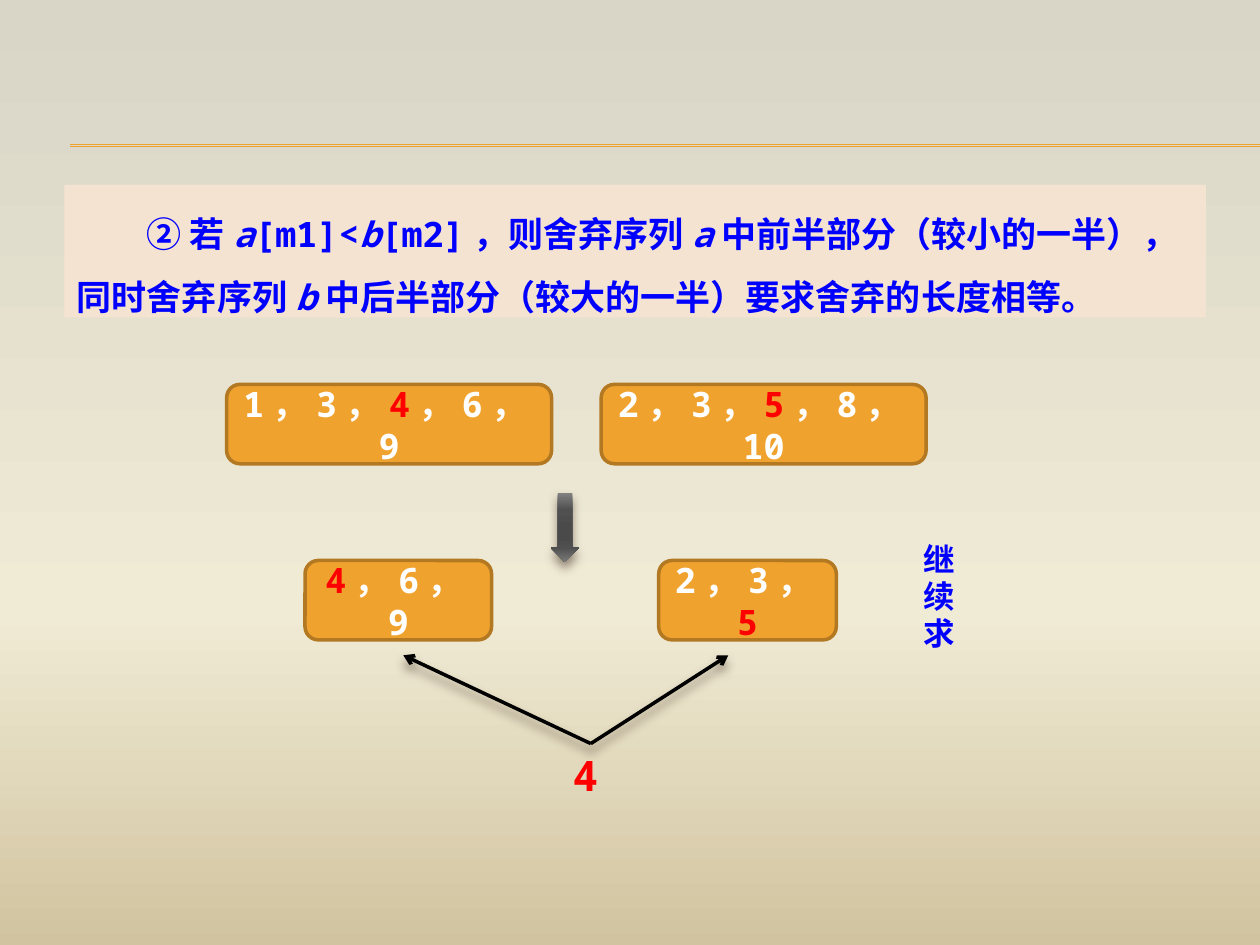
from typing import NamedTuple

from lxml import etree
from pptx import Presentation
from pptx.dml.color import RGBColor
from pptx.enum.shapes import MSO_CONNECTOR, MSO_SHAPE
from pptx.enum.text import MSO_ANCHOR, PP_ALIGN
from pptx.oxml.ns import qn
from pptx.util import Cm, Pt

RECTANGLE, ROUNDED = MSO_SHAPE.RECTANGLE, MSO_SHAPE.ROUNDED_RECTANGLE
DOWN_ARROW, STRAIGHT = MSO_SHAPE.DOWN_ARROW, MSO_CONNECTOR.STRAIGHT
TOP, LEFT, CENTER = MSO_ANCHOR.TOP, PP_ALIGN.LEFT, PP_ALIGN.CENTER

MONO, CHINESE = "Noto Sans Mono", "Noto Sans CJK SC"
COLORS = {
    "blue": "0000FF", "red": "FF0000", "white": "FFFFFF", "black": "000000",
    "orange": "F0A22E", "brown": "B27822", "peach": "F5E3D1", "shadow": "4E3B30",
}
BACKGROUND_STOPS = [(0, "D9D5C7"), (65, "F0EBD5"), (100, "D1C39F")]
ARROW_STOPS = [(0, "828282"), (25, "505050"), (50, "4A4A4A"),
               (65, "4A4A4A"), (80, "505050"), (100, "7A7A7A")]


class Span(NamedTuple):
    text: str
    color: str = "white"
    italic: bool = False


class Sequence(NamedTuple):
    """A numbered sequence in a rounded box; lengths in centimetres."""
    left: float
    top: float
    width: float
    spans: list[Span]


SEQUENCES = [
    Sequence(4.57, 7.75, 6.55, [Span("1，3，"), Span("4", "red"), Span("，6，9")]),
    Sequence(12.12, 7.75, 6.55, [Span("2，3，"), Span("5", "red"), Span("，8，10")]),
    Sequence(6.15, 11.3, 3.76, [Span("4", "red"), Span("，6，9")]),
    Sequence(13.28, 11.3, 3.58, [Span("2，3，"), Span("5", "red")]),
]
# Every second piece is a variable name, set in italics.
RULE_PIECES = [
    "② 若", "a", "[m1]<", "b", "[m2]，则舍弃序列", "a",
    "中前半部分（较小的一半），同时舍弃序列", "b",
    "中后半部分（较大的一半）要求舍弃的长度相等。",
]


def rgb(name: str) -> RGBColor:
    return RGBColor.from_string(COLORS[name])


def set_gradient(fill, owner, stops: list[tuple[int, str]]) -> None:
    """Fill from top to bottom; owner is the XML element holding the fill."""
    fill.gradient()
    fill.gradient_angle = 270
    stop_list = next(owner.iter(qn("a:gsLst")))
    for old_stop in list(stop_list):
        stop_list.remove(old_stop)
    for position, color in stops:
        stop = etree.SubElement(stop_list, qn("a:gs"), pos=str(position * 1000))
        etree.SubElement(stop, qn("a:srgbClr"), val=color)


def add_shadow(effects) -> None:
    shadow = etree.SubElement(effects, qn("a:outerShdw"), blurRad=str(Pt(6)),
                              dist=str(Pt(4)), dir="5400000", rotWithShape="0")
    color = etree.SubElement(shadow, qn("a:srgbClr"), val=COLORS["shadow"])
    etree.SubElement(color, qn("a:alpha"), val="60000")


def add_spans(para, spans: list[Span], size: int = 20, font: str = MONO) -> None:
    for span in spans:
        run = para.add_run()
        run.text = span.text
        run.font.size, run.font.name = Pt(size), font
        run.font.bold, run.font.italic = True, span.italic
        run.font.color.rgb = rgb(span.color)
        etree.SubElement(run.font._element, qn("a:ea"), typeface=CHINESE)


def add_box(slide, kind, left: float, top: float, width: float, height: float):
    box = slide.shapes.add_shape(kind, Cm(left), Cm(top), Cm(width), Cm(height))
    box.shadow.inherit = False
    box.line.fill.background()
    return box


def add_sequence(slide, sequence: Sequence) -> None:
    box = add_box(slide, ROUNDED, sequence.left, sequence.top, sequence.width, 1.6)
    box.fill.solid()
    box.fill.fore_color.rgb = rgb("orange")
    box.line.color.rgb = rgb("brown")
    box.line.width = Pt(2)
    para = box.text_frame.paragraphs[0]
    para.alignment = CENTER
    add_spans(para, sequence.spans)


def add_line(slide, start: tuple[float, float], end: tuple[float, float],
             color: str, width: float, arrow: bool = False) -> None:
    line = slide.shapes.add_connector(STRAIGHT, *map(Cm, start + end))
    line.line.color.rgb = rgb(color)
    line.line.width = Pt(width)
    properties = line._element.spPr
    effects = etree.SubElement(properties, qn("a:effectLst"))
    if arrow:
        etree.SubElement(properties.find(qn("a:ln")), qn("a:tailEnd"), type="arrow")
        add_shadow(effects)


def add_rule(slide) -> None:
    """Add the tinted panel that states the discarding rule."""
    panel = add_box(slide, RECTANGLE, 1.3, 3.73, 23.01, 2.67)
    panel.fill.solid()
    panel.fill.fore_color.rgb = rgb("peach")
    panel.text_frame.vertical_anchor = TOP
    para = panel.text_frame.paragraphs[0]
    para.alignment, para.line_spacing = LEFT, 1.5
    para._p.get_or_add_pPr().set("indent", str(Pt(40)))
    add_spans(para, [Span(piece, "blue", index % 2 == 1)
                     for index, piece in enumerate(RULE_PIECES)])


def add_label(slide, left: float, top: float, width: float, height: float,
              span: Span, size: int, font: str):
    label = slide.shapes.add_textbox(Cm(left), Cm(top), Cm(width), Cm(height))
    label.text_frame.word_wrap = True
    add_spans(label.text_frame.paragraphs[0], [span], size, font)
    return label


def main() -> None:
    deck = Presentation()
    deck.slide_width, deck.slide_height = Cm(25.4), Cm(19.05)
    slide = deck.slides.add_slide(deck.slide_layouts[6])
    set_gradient(slide.background.fill, slide._element, BACKGROUND_STOPS)

    for height in (2.92, 2.95):
        add_line(slide, (1.42, height), (25.4, height), "orange", 0.75)
    add_rule(slide)
    for sequence in SEQUENCES:
        add_sequence(slide, sequence)

    arrow = add_box(slide, DOWN_ARROW, 11.1, 9.93, 0.58, 1.4)
    set_gradient(arrow.fill, arrow._element, ARROW_STOPS)
    add_shadow(arrow._element.spPr.find(qn("a:effectLst")))

    add_label(slide, 11.3, 14.99, 1.19, 1.27, Span("4", "red"), 24, MONO)
    for target in (14.68, 8.13):
        add_line(slide, (11.91, 14.99), (target, 13.21), "black", 2, arrow=True)

    note = add_label(slide, 18.14, 10.72, 1.27, 3.18, Span("继续求", "blue"), 18, CHINESE)
    note.text_frame._txBody.bodyPr.set("vert", "eaVert")
    note.text_frame.paragraphs[0].runs[0].font._element.set("spc", "300")

    deck.save("out.pptx")


if __name__ == "__main__":
    main()
